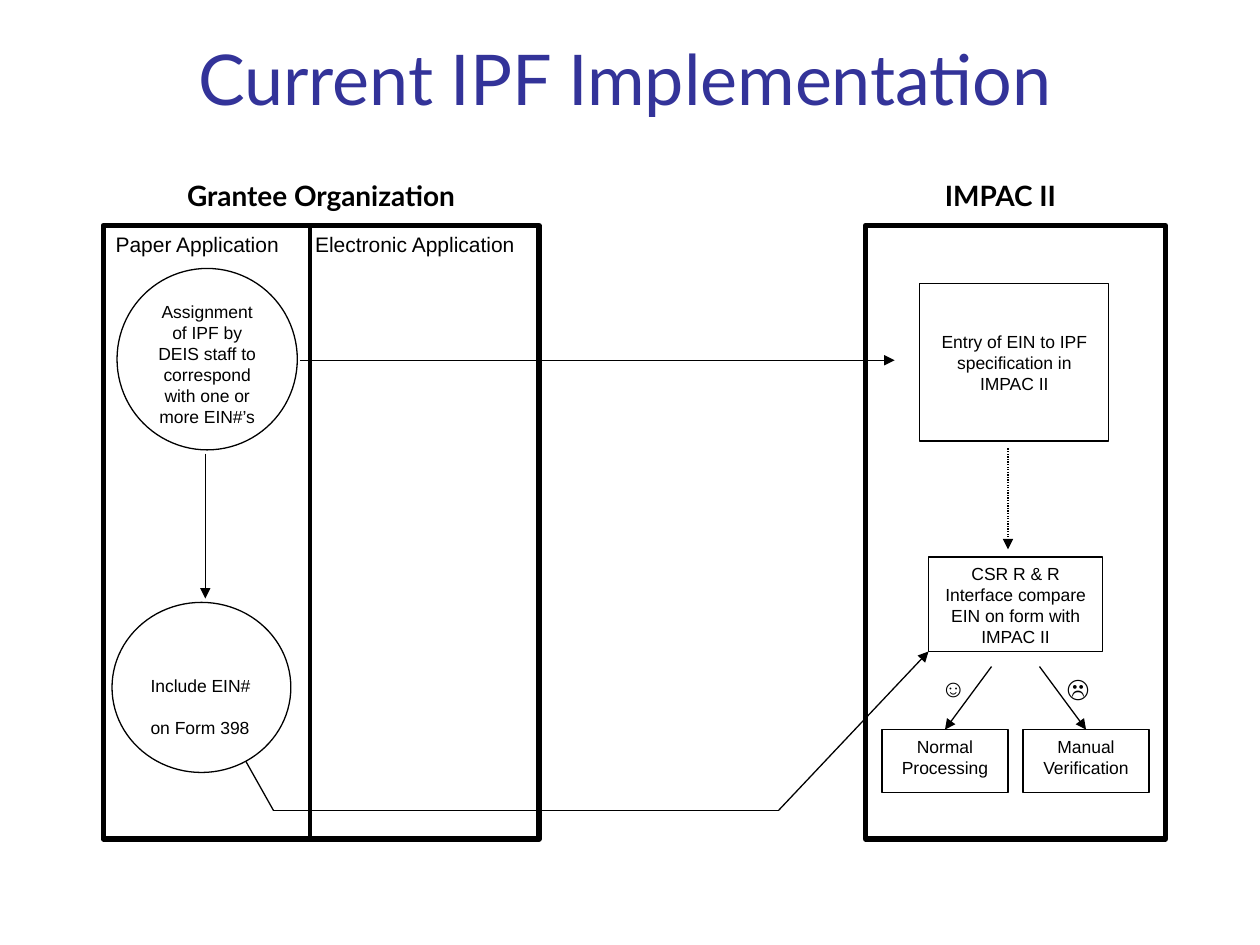
from lxml.etree import SubElement
from pptx import Presentation
from pptx.dml.color import RGBColor
from pptx.enum.dml import MSO_LINE
from pptx.enum.shapes import MSO_CONNECTOR, MSO_SHAPE
from pptx.enum.text import MSO_ANCHOR as ANCHOR, PP_ALIGN as ALIGN
from pptx.oxml.ns import qn
from pptx.util import Pt

COLORS = {"ink": "000000", "paper": "FFFFFF", "title": "333399"}
LABEL = {"name": "Arial", "size": Pt(10), "bold": False}
PANEL = {"name": "Arial", "size": Pt(12), "bold": False}
FACE = {"name": "Arial", "size": Pt(14), "bold": False}
HEADING = {"name": "Lato", "size": Pt(16), "bold": True}
TITLE = {"name": "Lato", "size": Pt(40), "bold": False}


def rgb(name):
    return RGBColor.from_string(COLORS[name])


def write(sp, lines, fmt, align=ALIGN.CENTER, anchor=ANCHOR.TOP, color="ink", gap=0):
    tf = sp.text_frame
    tf.word_wrap = True
    tf.vertical_anchor = anchor
    for i, line in enumerate(lines):
        p = tf.add_paragraph() if i else tf.paragraphs[0]
        p.alignment = align
        if i:
            p.space_before = Pt(gap)
        r = p.add_run()
        r.text = line
        for key, value in fmt.items():
            setattr(r.font, key, value)
        r.font.color.rgb = rgb(color)
    return tf


def outline(s, kind, x, y, w, h, weight=0.75):
    sp = s.shapes.add_shape(kind, Pt(x), Pt(y), Pt(w), Pt(h))
    sp.shadow.inherit = False
    sp.fill.solid()
    sp.fill.fore_color.rgb = rgb("paper")
    sp.line.color.rgb = rgb("ink")
    sp.line.width = Pt(weight)
    return sp


def text_box(s, x, y, w, h, text, fmt, align=ALIGN.CENTER):
    sp = s.shapes.add_textbox(Pt(x), Pt(y), Pt(w), Pt(h))
    write(sp, [text], fmt, align)


def line(s, x1, y1, x2, y2, weight=0.75, arrow=True, dash=None):
    c = s.shapes.add_connector(MSO_CONNECTOR.STRAIGHT, Pt(x1), Pt(y1), Pt(x2), Pt(y2))
    c.line.color.rgb = rgb("ink")
    c.line.width = Pt(weight)
    if dash:
        c.line.dash_style = dash
    if arrow:
        SubElement(c.line._get_or_add_ln(), qn("a:tailEnd"), type="triangle")
    SubElement(c._element.spPr, qn("a:effectLst"))
    return c


def add_title(s, x, y, w, h):
    sp = s.shapes.title
    sp.left, sp.top, sp.width, sp.height = Pt(x), Pt(y), Pt(w), Pt(h)
    write(sp, ["Current IPF Implementation"], TITLE, anchor=ANCHOR.MIDDLE, color="title")


def add_grantee(s, x, y, w, h):
    text_box(s, x, y - 30.2, w, 26.6, "Grantee Organization", HEADING)

    # Panel with its two column labels, split by a tab stop
    panel = outline(s, MSO_SHAPE.RECTANGLE, x, y, w, h, 3)
    tf = panel.text_frame
    tabs = SubElement(tf.paragraphs[0]._p.get_or_add_pPr(), qn("a:tabLst"))
    SubElement(tabs, qn("a:tab"), pos=str(Pt(114)), algn="l")
    write(panel, ["Paper Application\tElectronic Application"], PANEL, ALIGN.LEFT)
    line(s, x + 118.1, y, x + 118.1, y + h, 2.25, arrow=False)

    # Paper application steps
    assign = outline(s, MSO_SHAPE.OVAL, x + 7.9, y + 24.5, 103, 103.7)
    write(assign, ["Assignment of IPF by DEIS staff to correspond with one or more EIN#’s"], LABEL)
    include = outline(s, MSO_SHAPE.OVAL, x + 5, y + 215.3, 102.2, 97.2)
    tf = write(include, ["Include EIN#", "on Form 398"], LABEL, ALIGN.LEFT, gap=12)
    tf.margin_top, tf.margin_right = Pt(27), Pt(0)
    line(s, x + 58.3, y + 130.3, x + 58.3, y + 213.1)


def add_impac(s, x, y, w, h):
    outline(s, MSO_SHAPE.RECTANGLE, x, y, w, h, 3)
    text_box(s, x + 27.4, y - 30.2, 99.4, 26.6, "IMPAC II", HEADING)

    # Entry and comparison
    entry = outline(s, MSO_SHAPE.RECTANGLE, x + 31, y + 33.1, 108, 90)
    write(entry, ["Entry of EIN to IPF specification in IMPAC II"], LABEL, anchor=ANCHOR.MIDDLE)
    line(s, x + 81.4, y + 127.4, x + 81.4, y + 185, dash=MSO_LINE.ROUND_DOT)
    compare = outline(s, MSO_SHAPE.RECTANGLE, x + 36, y + 189.4, 99.4, 54)
    write(compare, ["CSR R & R Interface compare EIN on form with IMPAC II"], LABEL)

    # Outcomes: box offset, face offset, arrow start, face, text
    outcomes = [
        (9.4, 36, 72, "☺", ["Normal Processing"]),
        (90, 108, 99.4, "☹", ["Manual", "Verification"]),
    ]
    for dx, face_dx, start_dx, face, lines in outcomes:
        box = outline(s, MSO_SHAPE.RECTANGLE, x + dx, y + 288, 72, 36)
        write(box, lines, LABEL)
        text_box(s, x + face_dx, y + 252, 26.6, 26.6, face, FACE, ALIGN.LEFT)
        arrow = line(s, x + start_dx, y + 252, x + dx + 36, y + 288)
        arrow.end_connect(box, 0)


def add_flows(s, x, y):
    # From the grantee panel to IMPAC II
    line(s, x + 112.4, y + 77, x + 452.2, y + 77)
    route = [(81.4, 306), (97.2, 334.1), (386, 334.1), (471.6, 243.4)]
    for (x1, y1), (x2, y2) in zip(route, route[1:]):
        line(s, x + x1, y + y1, x + x2, y + y2, arrow=(x2, y2) == route[-1])


def main():
    prs = Presentation()
    prs.slide_width, prs.slide_height = Pt(720), Pt(540)
    s = prs.slides.add_slide(prs.slide_layouts[5])
    add_title(s, 33.8, 16.6, 646.6, 55.4)
    add_impac(s, 494.6, 128.9, 171.4, 350.6)
    add_grantee(s, 59, 128.9, 249.1, 350.6)
    add_flows(s, 59, 128.9)
    prs.save("out.pptx")


if __name__ == "__main__":
    main()
